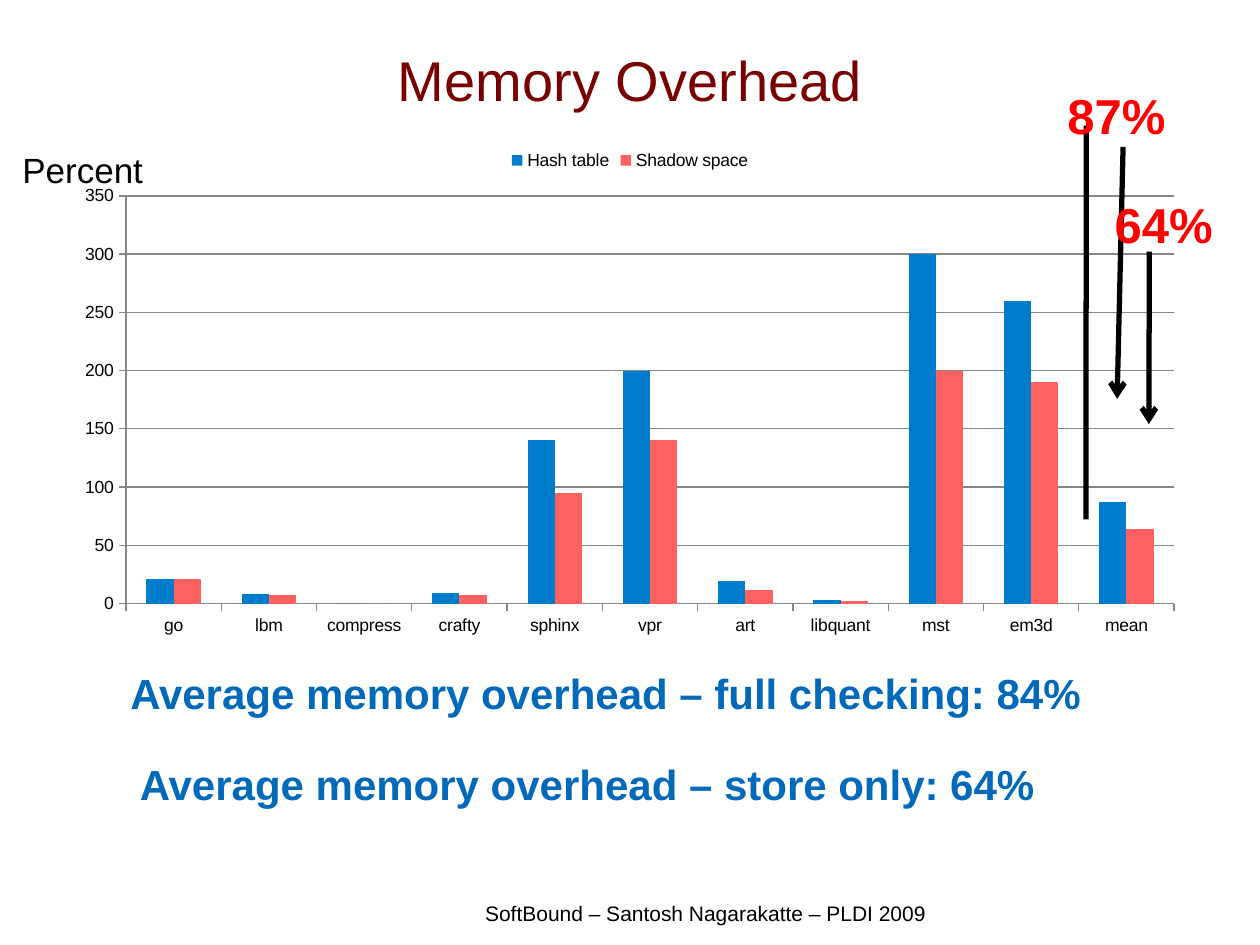
from lxml import etree
from pptx import Presentation
from pptx.chart.data import CategoryChartData
from pptx.dml.color import RGBColor
from pptx.enum.chart import XL_CHART_TYPE, XL_LEGEND_POSITION, XL_TICK_MARK
from pptx.enum.shapes import MSO_CONNECTOR
from pptx.enum.text import MSO_ANCHOR, PP_ALIGN
from pptx.oxml import parse_xml
from pptx.oxml.ns import nsdecls, qn
from pptx.util import Cm, Pt

COLUMNS = XL_CHART_TYPE.COLUMN_CLUSTERED
LEGEND_TOP = XL_LEGEND_POSITION.TOP
TICK_OUT = XL_TICK_MARK.OUTSIDE
STRAIGHT = MSO_CONNECTOR.STRAIGHT
TOP, MIDDLE = MSO_ANCHOR.TOP, MSO_ANCHOR.MIDDLE
LEFT, CENTER = PP_ALIGN.LEFT, PP_ALIGN.CENTER

FONT = "Arial"
COLORS = {
    "title": "780000",
    "text": "000000",
    "callout": "FF0000",
    "summary": "0069B9",
    "axis": "878787",
    "paper": "FFFFFF",
    "Hash table": "007CCC",
    "Shadow space": "FF6161",
}
BENCHMARKS = ["go", "lbm", "compress", "crafty", "sphinx", "vpr",
              "art", "libquant", "mst", "em3d", "mean"]
OVERHEADS = {
    "Hash table": [21, 8, 0, 9, 140, 200, 19, 3, 300, 260, 87],
    "Shadow space": [21, 7, 0, 7, 95, 140, 12, 2, 200, 190, 64],
}


def color(name):
    return RGBColor.from_string(COLORS[name])


def style_font(font, size, name, bold=False):
    font.name, font.size, font.bold = FONT, Pt(size), bold
    font.color.rgb = color(name)


def write(shape, text, size, name, bold=False, align=LEFT, anchor=TOP):
    frame = shape.text_frame
    frame.word_wrap = True
    frame.vertical_anchor = anchor
    para = frame.paragraphs[0]
    para.alignment = align
    span = para.add_run()
    span.text = text
    style_font(span.font, size, name, bold)


def add_text(page, box, text, size, name, **options):
    shape = page.shapes.add_textbox(*map(Cm, box))
    write(shape, text, size, name, **options)


def add_line(page, start, end, arrow=False):
    line = page.shapes.add_connector(STRAIGHT, *map(Cm, start + end))
    line.line.color.rgb = color("text")
    line.line.width = Pt(3)
    if arrow:
        outline = line.line._get_or_add_ln()
        etree.SubElement(outline, qn("a:tailEnd"), type="arrow")
    etree.SubElement(line._element.spPr, qn("a:effectLst"))


def place_title(page, box):
    title = page.shapes.title
    title.left, title.top, title.width, title.height = map(Cm, box)
    write(title, "Memory Overhead", 32, "title", align=CENTER, anchor=MIDDLE)


def set_plot_area(chart, chart_box, plot_box):
    """Fix the inner plot area, given in cm within the chart, on a plain fill."""
    _, _, width, height = chart_box
    x, y, w, h = plot_box
    area = chart._chartSpace.chart.plotArea
    for old in area.findall(qn("c:layout")):
        area.remove(old)
    parts = "".join(f'<c:{tag} val="{value}"/>' for tag, value in (
        ("layoutTarget", "inner"), ("xMode", "edge"), ("yMode", "edge"),
        ("x", x / width), ("y", y / height),
        ("w", w / width), ("h", h / height)))
    area.insert(0, parse_xml(
        f'<c:layout {nsdecls("c")}><c:manualLayout>{parts}'
        '</c:manualLayout></c:layout>'))
    area.append(parse_xml(
        f'<c:spPr {nsdecls("c", "a")}><a:solidFill>'
        f'<a:srgbClr val="{COLORS["paper"]}"/></a:solidFill></c:spPr>'))


def add_overhead_chart(page, box):
    data = CategoryChartData(number_format="0")
    data.categories = BENCHMARKS
    for name, values in OVERHEADS.items():
        data.add_series(name, values)
    chart = page.shapes.add_chart(COLUMNS, *map(Cm, box), data).chart
    style_font(chart.font, 10, "text")
    chart.has_title = False
    chart.has_legend = True
    chart.legend.position = LEGEND_TOP
    chart.legend.include_in_layout = False

    plot = chart.plots[0]
    plot.gap_width, plot.overlap, plot.vary_by_categories = 150, 0, False
    for series in plot.series:
        series.format.fill.solid()
        series.format.fill.fore_color.rgb = color(series.name)

    scale = chart.value_axis
    scale.minimum_scale, scale.maximum_scale, scale.major_unit = 0, 350, 50
    scale.has_major_gridlines = True
    for axis in (chart.category_axis, scale):
        axis.major_tick_mark = TICK_OUT
    for part in (chart.category_axis, scale, scale.major_gridlines):
        part.format.line.color.rgb = color("axis")
        part.format.line.width = Pt(0.75)
    set_plot_area(chart, box, (1.27, 1.2, 21.13, 8.22))


def add_mean_callouts(page, box):
    """Divider, two labels and their arrows, above the mean columns."""
    left, top, width, height = box
    add_line(page, (left + 0.63, top + 0.94), (left + 0.62, top + height))
    add_line(page, (left + 1.9, top + 3.48), (left + 1.89, top + 6.96), True)
    add_line(page, (left + 1.37, top + 1.37), (left + 1.25, top + 6.45), True)
    for text, dx, dy in (("87%", 0, 0), ("64%", 0.95, 2.21)):
        add_text(page, (left + dx, top + dy, width, 1.45), text, 28,
                 "callout", bold=True)


def add_summary(page, box):
    left, top, width, height = box
    lines = (("Average memory overhead – full checking: 84%", 0),
             ("Average memory overhead – store only: 64%", -0.37))
    for row, (text, shift) in enumerate(lines):
        add_text(page, (left + shift, top + row * 1.82, width, height / 2),
                 text, 24, "summary", bold=True, align=CENTER)


def main():
    deck = Presentation()
    deck.slide_width, deck.slide_height = Cm(25.4), Cm(19.05)
    page = deck.slides.add_slide(deck.slide_layouts[5])
    place_title(page, (1.27, 0.86, 22.86, 1.47))
    add_overhead_chart(page, (1.27, 2.75, 22.86, 10.26))
    add_text(page, (9.53, 17.78, 10.8, 1.27),
             "SoftBound – Santosh Nagarakatte – PLDI 2009", 12, "text",
             anchor=MIDDLE)
    add_text(page, (0.2, 2.86, 6.02, 1.09), "Percent", 20, "text")
    add_mean_callouts(page, (21.27, 1.59, 4.11, 8.88))
    add_summary(page, (0.83, 13.34, 22.76, 2.54))
    deck.save("out.pptx")


if __name__ == "__main__":
    main()
